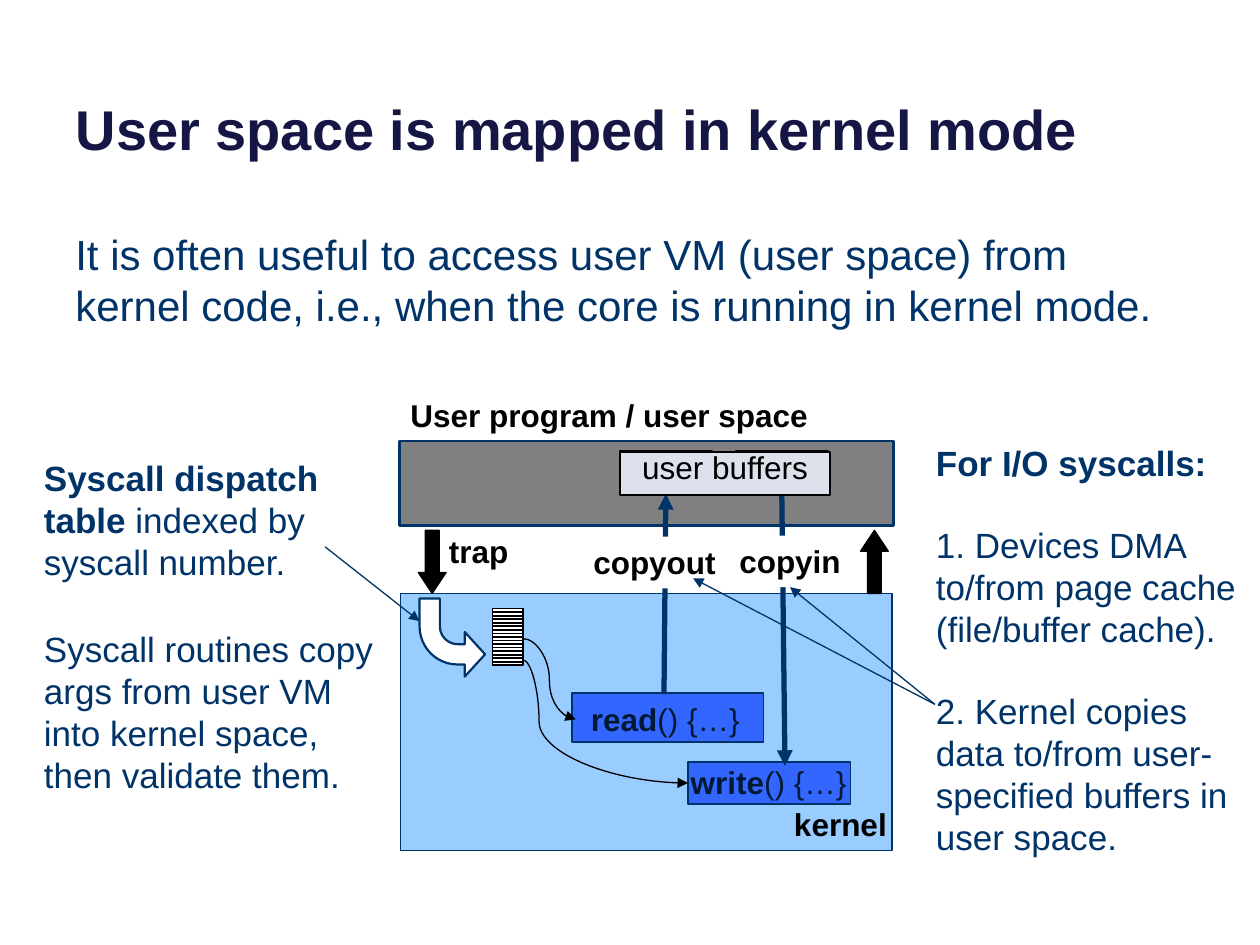
from dataclasses import dataclass

from lxml.etree import SubElement
from pptx import Presentation
from pptx.dml.color import RGBColor
from pptx.enum.shapes import MSO_CONNECTOR, MSO_SHAPE
from pptx.enum.text import MSO_ANCHOR, PP_ALIGN
from pptx.oxml.ns import qn
from pptx.util import Inches, Pt


@dataclass(frozen=True)
class Theme:
    font: str = "Arial"
    title: str = "161645"
    navy: str = "003367"
    code: str = "001934"
    black: str = "000000"
    white: str = "FFFFFF"
    user_space: str = "808080"
    kernel: str = "99CCFF"
    routine: str = "3366FF"
    buffer: str = "DCE1EC"
    title_size: int = 32
    lead_size: int = 24
    note_size: int = 20
    label_size: int = 18


theme = Theme()


def add_box(shapes, kind, at, fill, line=None, width=1):
    box = shapes.add_shape(kind, *map(Inches, at))
    box.shadow.inherit = False
    box.fill.solid()
    box.fill.fore_color.rgb = RGBColor.from_string(fill)
    if line:
        box.line.color.rgb = RGBColor.from_string(line)
        box.line.width = Pt(width)
    else:
        box.line.fill.background()
    return box


def write(box, paragraphs, size, color, align=PP_ALIGN.LEFT,
          anchor=MSO_ANCHOR.MIDDLE, wrap=True):
    """Each paragraph is a list of (text, bold) spans."""
    frame = box.text_frame
    frame.word_wrap = wrap
    frame.vertical_anchor = anchor
    for index, spans in enumerate(paragraphs):
        para = frame.paragraphs[0] if index == 0 else frame.add_paragraph()
        para.alignment = align
        if index:
            para.space_before = Pt(23)
        for text, bold in spans:
            span = para.add_run()
            span.text = text
            span.font.name = theme.font
            span.font.size = Pt(size)
            span.font.bold = bold
            span.font.color.rgb = RGBColor.from_string(color)


deck = Presentation()
deck.slide_width, deck.slide_height = Inches(10), Inches(7.5)
page = deck.slides.add_slide(deck.slide_layouts[5])
shapes = page.shapes
process = MSO_SHAPE.FLOWCHART_PROCESS
connectors = []  # (connector, colour, width, has arrowhead)
labels = []  # (box, spans, colour)

# Title
title = shapes.title
title.left, title.top, title.width, title.height = map(Inches, (0.5, -0.37, 9, 1.7))
write(title, [[("User space is mapped in kernel mode", True)]],
      theme.title_size, theme.title, anchor=MSO_ANCHOR.BOTTOM)

# Kernel and user space, with the arrows between them
add_box(shapes, process, (3.18, 4.71, 3.9, 2.04), theme.kernel, theme.navy)
for kind, left in ((MSO_SHAPE.DOWN_ARROW, 3.32), (MSO_SHAPE.UP_ARROW, 6.83)):
    arrow = add_box(shapes, kind, (left, 4.21, 0.22, 0.5), theme.black, theme.black, 0.75)
    arrow.adjustments[0], arrow.adjustments[1] = 0.5, 0.75
add_box(shapes, MSO_SHAPE.RECTANGLE, (3.17, 3.5, 3.92, 0.67),
        theme.user_space, theme.navy, 1.5)

# User buffer halves
buffer_out, buffer_in = [
    add_box(shapes, process, (left, 3.58, 0.73, 0.34), theme.buffer, theme.black)
    for left in (4.92, 5.84)]

# Syscall dispatch table
table = shapes.add_group_shape()
row_height = 0.45 / 16
rows = [add_box(table.shapes, process, (3.91, 4.83 + index * row_height, 0.24, row_height),
                theme.white, theme.black)
        for index in range(16)]

# Syscall routines
add_box(shapes, process, (4.54, 5.5, 1.52, 0.39), theme.routine, theme.navy)
read_label = shapes.add_textbox(Inches(4.57), Inches(5.51), Inches(1.42), Inches(0.4))
write_box = add_box(shapes, process, (5.46, 6.05, 1.29, 0.33), theme.routine, theme.navy)
write_label = shapes.add_textbox(Inches(5.38), Inches(6.01), Inches(1.44), Inches(0.4))
labels += [(read_label, [("read", True), ("() {…}", False)], theme.code),
           (write_label, [("write", True), ("() {…}", False)], theme.code)]

# Table entries lead to the routines
for row, target, start, end, bend in (
        (rows[8], read_label, (4.15, 5.07), (4.57, 5.71), 50000),
        (rows[14], write_box, (4.15, 5.23), (5.46, 6.22), 9800)):
    curve = shapes.add_connector(MSO_CONNECTOR.CURVE, *map(Inches, start + end))
    curve.begin_connect(row, 3)
    curve.end_connect(target, 1)
    guides = curve.element.spPr.find(qn("a:prstGeom")).get_or_add_avLst()
    SubElement(guides, qn("a:gd"), name="adj1", fmla=f"val {bend}")
    connectors.append((curve, theme.black, 0.75))

# Copies between the buffers and the routines
copyout = shapes.add_connector(MSO_CONNECTOR.STRAIGHT, *map(Inches, (5.27, 5.51, 5.28, 3.92)))
copyout.end_connect(buffer_out, 2)
copyin = shapes.add_connector(MSO_CONNECTOR.STRAIGHT, *map(Inches, (6.2, 3.92, 6.23, 6.08)))
copyin.begin_connect(buffer_in, 2)
connectors += [(copyout, theme.navy, 3), (copyin, theme.navy, 3)]
copyout_label = add_box(shapes, MSO_SHAPE.RECTANGLE, (4.58, 4.26, 1.23, 0.41), theme.white)
copyin_label = add_box(shapes, MSO_SHAPE.RECTANGLE, (5.73, 4.25, 1.08, 0.41), theme.white)
labels += [(copyout_label, [("copyout", True)], theme.black),
           (copyin_label, [("copyin", True)], theme.black)]

# Bent arrow from the trap to the table
bent = add_box(shapes, MSO_SHAPE.BENT_ARROW, (3.33, 4.75, 0.52, 0.62),
               theme.white, theme.navy, 1.25)
bent.element.spPr.find(qn("a:xfrm")).set("flipV", "1")
for index, value in enumerate((0.31, 0.34, 0.31, 0.58)):
    bent.adjustments[index] = value

# Lead sentence and side notes
for at, size, paragraphs in (
        ((0.5, 1.76, 9, 0.91), theme.lead_size,
         [[("It is often useful to access user VM (user space) from kernel code, "
            "i.e., when the core is running in kernel mode.", False)]]),
        ((0.25, 3.57, 3.05, 1.11), theme.note_size,
         [[("Syscall dispatch table ", True), ("indexed by syscall number.", False)]]),
        ((0.25, 4.92, 2.98, 1.45), theme.note_size,
         [[("Syscall routines copy args from user VM into kernel space, "
            "then validate them.", False)]]),
        ((7.33, 3.42, 2.6, 3.47), theme.note_size,
         [[("For I/O syscalls:", True)],
          [("1. Devices DMA to/from page cache (file/buffer cache).", False)],
          [("2. Kernel copies data to/from user-specified buffers in user space.", False)]])):
    write(shapes.add_textbox(*map(Inches, at)), paragraphs, size, theme.navy)

# Pointers from the notes to the diagram
for start, end, target in (((2.58, 4.34), (3.33, 4.93), None),
                           ((7.42, 5.59), (6.27, 4.66), copyin_label),
                           ((7.42, 5.59), (5.5, 4.59), None)):
    pointer = shapes.add_connector(MSO_CONNECTOR.STRAIGHT, *map(Inches, start + end))
    if target:
        pointer.end_connect(target, 2)
    connectors.append((pointer, theme.navy, 0.75))

# Whole user buffer and the captions
add_box(shapes, process, (4.92, 3.59, 1.67, 0.34), theme.buffer, theme.black)
for text, bold, at in (("trap", True, (3.45, 4.17, 0.7, 0.41)),
                       ("user buffers", False, (4.92, 3.51, 1.67, 0.41)),
                       ("User program / user space", True, (3, 3.09, 3.67, 0.41)),
                       ("kernel", True, (5.67, 6.34, 2, 0.41))):
    labels.append((shapes.add_textbox(*map(Inches, at)), [(text, bold)], theme.black))

# Label text and connector style
for box, spans, color in labels:
    write(box, [spans], theme.label_size, color, PP_ALIGN.CENTER, MSO_ANCHOR.TOP, False)
for connector, color, width in connectors:
    connector.line.color.rgb = RGBColor.from_string(color)
    connector.line.width = Pt(width)
    properties = connector.element.spPr
    SubElement(properties.find(qn("a:ln")), qn("a:tailEnd"), type="triangle")
    SubElement(properties, qn("a:effectLst"))

deck.save("out.pptx")
